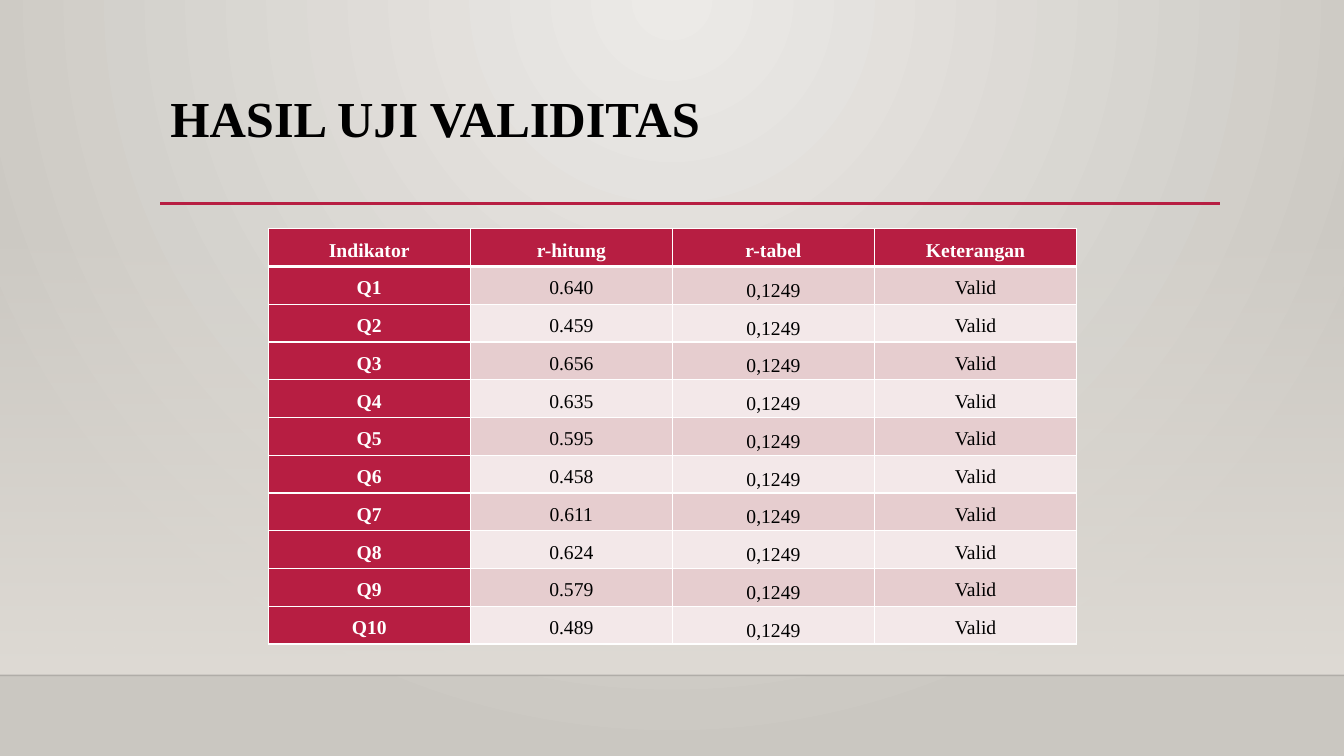
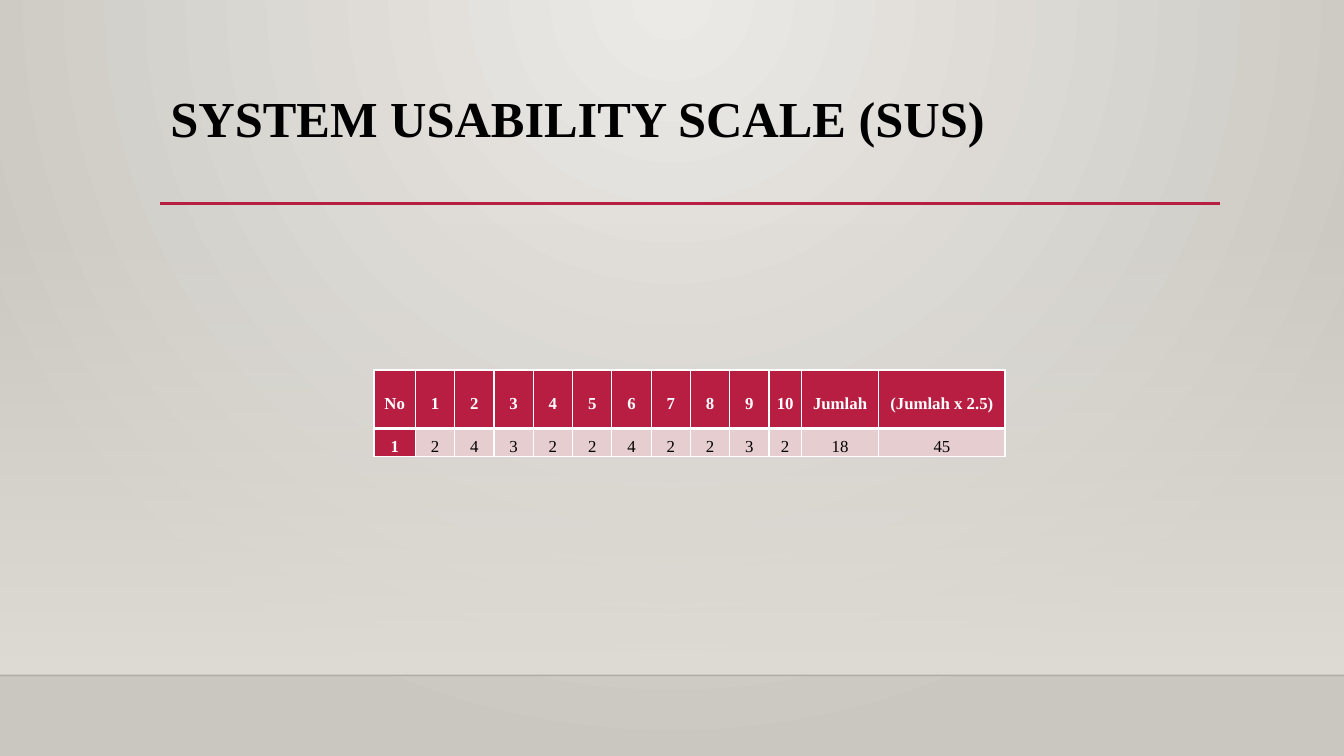
"""Build two slides of questionnaire results as tables."""
from dataclasses import dataclass

from lxml import etree
from pptx import Presentation
from pptx.dml.color import RGBColor
from pptx.enum import shapes, text
from pptx.oxml import ns
from pptx.util import Inches, Pt

TOP, MIDDLE, BOTTOM = (
    text.MSO_ANCHOR.TOP, text.MSO_ANCHOR.MIDDLE, text.MSO_ANCHOR.BOTTOM)


@dataclass(frozen=True)
class Theme:
    """Colours, font and type sizes of the deck."""
    accent: RGBColor = RGBColor.from_string("B71E42")
    ink: RGBColor = RGBColor.from_string("000000")
    white: RGBColor = RGBColor.from_string("FFFFFF")
    glow: RGBColor = RGBColor.from_string("ECEAE7")
    wall: RGBColor = RGBColor.from_string("CAC7C1")
    mist: RGBColor = RGBColor.from_string("DFDBD5")
    stripes: tuple = (RGBColor.from_string("E6CDCF"),
                      RGBColor.from_string("F3E8E9"))
    font: str = "Times New Roman"
    title_size: int = 36
    table_size: int = 14
    small_size: int = 12


THEME = Theme()


@dataclass(frozen=True)
class Box:
    """A region of the page in inches."""
    left: float
    top: float
    width: float
    height: float

    def lengths(self):
        """Return the four measures as lengths."""
        return [Inches(v) for v in (self.left, self.top, self.width, self.height)]


PAGE = Box(0, 0, 13.33, 7.5)
TITLE = Box(1.59, 0.88, 10.5, 1.15)


def add_xml(parent, tag, **values):
    """Append a drawing element with the given attributes."""
    child = etree.SubElement(parent, ns.qn(tag))
    for name, value in values.items():
        child.set(name, str(value))
    return child


def set_alpha(element, percent):
    """Give the first plain colour in an element an opacity."""
    colour = next(element.iter(ns.qn("a:srgbClr")))
    add_xml(colour, "a:alpha", val=percent * 1000)


def fill_gradient(fill, start, end):
    """Fill with two colours running from top to bottom."""
    fill.gradient()
    fill.gradient_angle = 270
    for stop, colour, position in zip(fill.gradient_stops, (start, end), (0, 1)):
        stop.color.rgb = colour
        stop.position = position


def style_paragraph(para, size, colour, bold, spacing, align):
    """Set the type and spacing of one paragraph."""
    para.alignment, para.line_spacing = align, spacing
    font = para.font
    font.name, font.size, font.bold = THEME.font, Pt(size), bold
    font.color.rgb = colour


def draw_rule(page, left, right, top, colour, width):
    """Draw a horizontal line without a shadow."""
    rule = page.shapes.add_connector(
        shapes.MSO_CONNECTOR.STRAIGHT,
        Inches(left), Inches(top), Inches(right), Inches(top))
    rule.line.color.rgb, rule.line.width = colour, Pt(width)
    add_xml(rule.element.spPr, "a:effectLst")
    return rule


def set_background(layout):
    """Light the layout from the middle of its top edge."""
    fill_gradient(layout.background.fill, THEME.glow, THEME.wall)
    gradient = next(layout.element.iter(ns.qn("a:gradFill")))
    gradient.remove(gradient.find(ns.qn("a:lin")))
    circle = add_xml(gradient, "a:path", path="circle")
    add_xml(circle, "a:fillToRect", l=43000, t=0, r=43000, b=100000)


def prepare_layout(deck, layout):
    """Put the background, floor, rules and title place on the layout."""
    set_background(layout)
    layout.placeholders[0].left, layout.placeholders[0].top, \
        layout.placeholders[0].width, layout.placeholders[0].height = TITLE.lengths()
    page = deck.slides[0]
    haze = page.shapes.add_shape(
        shapes.MSO_SHAPE.RECTANGLE, *Box(0, 2.21, PAGE.width, 4.49).lengths())
    haze.shadow.inherit = False
    haze.line.fill.background()
    fill_gradient(haze.fill, THEME.mist, THEME.mist)
    set_alpha(haze.element.spPr, 0)
    floor = draw_rule(page, 0, PAGE.width, 6.7, THEME.ink, 1)
    set_alpha(floor.element.spPr, 20)
    underline = draw_rule(page, TITLE.left, 12.1, 2.02, THEME.accent, 2.5)
    for index, part in enumerate((haze, floor, underline), 2):
        layout.shapes.element.insert(index, part.element)


def add_titled_page(deck, layout, title):
    """Add a page and format its title."""
    page = deck.slides.add_slide(layout)
    frame = page.shapes.title.text_frame
    frame.text = title
    frame.vertical_anchor = TOP
    frame.auto_size = text.MSO_AUTO_SIZE.NONE
    style_paragraph(frame.paragraphs[0], THEME.title_size, THEME.ink, True,
                    0.9, text.PP_ALIGN.LEFT)
    return page


def set_borders(cell, top, bottom):
    """Draw white borders, with the given widths above and below."""
    properties = cell._tc.get_or_add_tcPr()
    for side, width in (("L", 1), ("R", 1), ("T", top), ("B", bottom)):
        line = add_xml(properties, f"a:ln{side}", w=Pt(width))
        add_xml(add_xml(line, "a:solidFill"), "a:srgbClr", val=THEME.white)


def format_cell(cell, row, column, size, anchor):
    """Format a cell by its place in the table."""
    set_borders(cell, 3 if row == 1 else 1, 3 if row == 0 else 1)
    heading = row == 0 or column == 0
    cell.fill.solid()
    cell.fill.fore_color.rgb = (
        THEME.accent if heading else THEME.stripes[(row - 1) % 2])
    cell.margin_left = cell.margin_right = Inches(0.07)
    cell.margin_top = cell.margin_bottom = 0
    cell.vertical_anchor = anchor
    style_paragraph(cell.text_frame.paragraphs[0], size,
                    THEME.white if heading else THEME.ink, heading,
                    1.5, text.PP_ALIGN.CENTER)


def draw_table(page, box, rows, widths, heights, size, head_anchor, anchors):
    """Draw a table with a header row and a header column."""
    table = page.shapes.add_table(len(rows), len(widths), *box.lengths()).table
    for column, width in zip(table.columns, widths):
        column.width = Inches(width)
    for line, height in zip(table.rows, heights):
        line.height = Inches(height)
    for r, values in enumerate(rows):
        for c, value in enumerate(values):
            cell = table.cell(r, c)
            cell.text = value
            format_cell(cell, r, c, size, anchors[c] if r else head_anchor)


def draw_validity(page, box):
    """Show the validity test of each question."""
    scores = ("0.640", "0.459", "0.656", "0.635", "0.595",
              "0.458", "0.611", "0.624", "0.579", "0.489")
    rows = [("Indikator", "r-hitung", "r-tabel", "Keterangan")]
    rows += [(f"Q{number}", score, "0,1249", "Valid")
             for number, score in enumerate(scores, 1)]
    draw_table(page, box, rows, [box.width / 4] * 4,
               [box.height / len(rows)] * len(rows), THEME.table_size,
               TOP, (TOP, TOP, MIDDLE, TOP))


def draw_usability(page, box):
    """Show the answers and the usability score of a respondent."""
    answers = (2, 4, 3, 2, 2, 4, 2, 2, 3, 2)
    numbers = [str(n) for n in range(1, len(answers) + 1)]
    rows = [["No", *numbers, "Jumlah", "(Jumlah x 2.5)"],
            ["1", *map(str, answers), "18", "45"]]
    draw_table(page, box, rows, [0.41] + [0.39] * 9 + [0.32, 0.77, 1.25],
               [0.58, box.height - 0.58], THEME.small_size,
               MIDDLE, [MIDDLE] + [BOTTOM] * 10 + [TOP] * 2)


def main():
    """Build and save the deck."""
    deck = Presentation()
    deck.slide_width, deck.slide_height = PAGE.lengths()[2:]
    layout = deck.slide_layouts[5]
    validity = add_titled_page(deck, layout, "HASIL UJI VALIDITAS")
    usability = add_titled_page(deck, layout, "SYSTEM USABILITY SCALE (SUS)")
    prepare_layout(deck, layout)
    draw_validity(validity, Box(2.66, 2.27, 8.02, 4.12))
    draw_usability(usability, Box(3.71, 3.67, 6.25, 0.85))
    deck.save("out.pptx")


if __name__ == "__main__":
    main()
